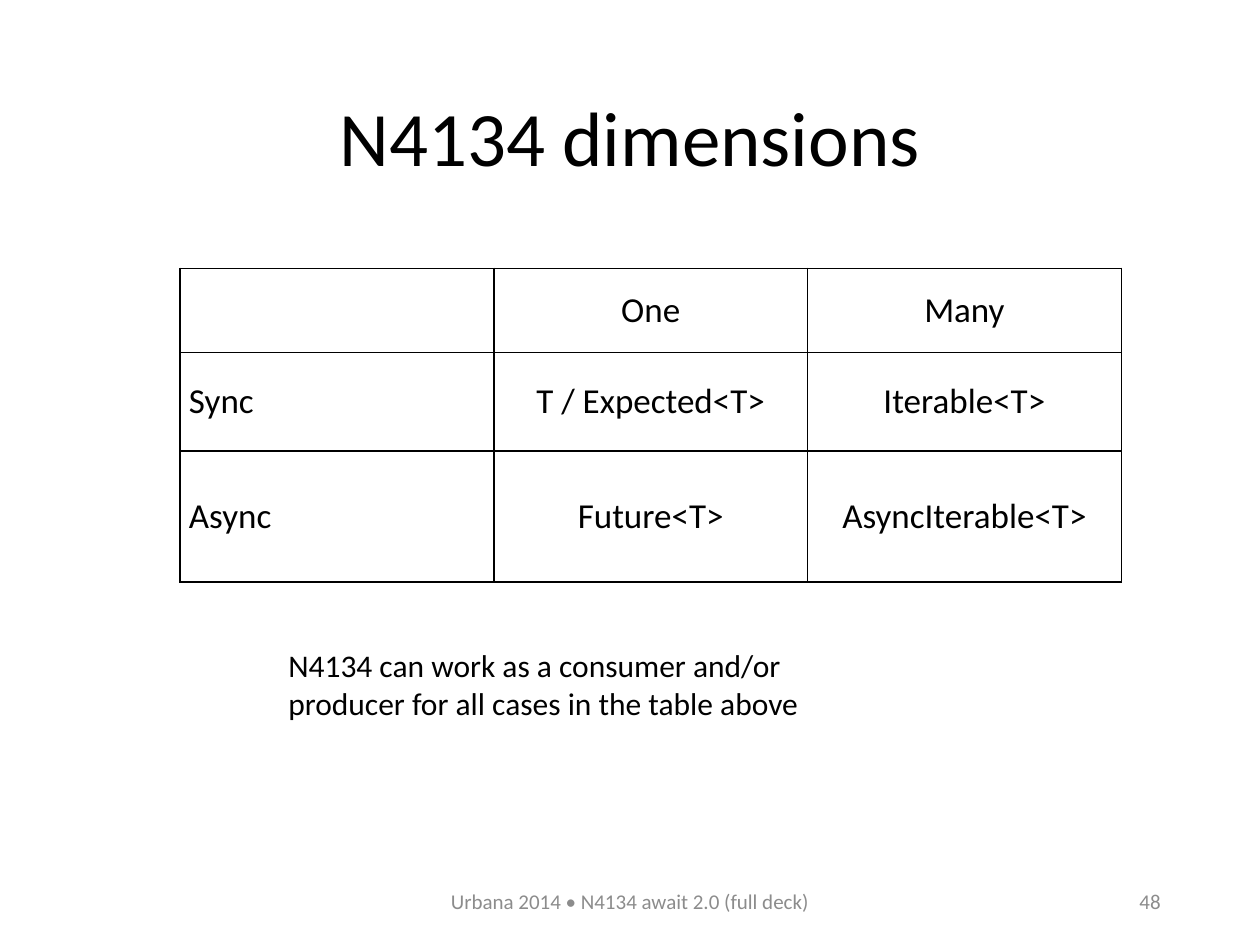
from lxml.etree import SubElement
from pptx import Presentation
from pptx.dml.color import RGBColor
from pptx.enum.text import MSO_ANCHOR as ANCHOR, PP_ALIGN as ALIGN
from pptx.oxml.ns import qn
from pptx.util import Inches, Pt

COLORS = {"text": "000000", "muted": "8C8C8C", "border": "000000"}
FONT = "Calibri"

ROWS = [
    ["", "One", "Many"],
    ["Sync", "T / Expected<T>", "Iterable<T>"],
    ["Async", "Future<T>", "AsyncIterable<T>"],
]
COL_WIDTH = 2.49
ROW_HEIGHTS = [0.67, 0.78, 1.04]


def write(p, text, size, color="text", **formats):
    """Put one formatted run in a paragraph."""
    for name, value in formats.items():
        setattr(p, name, value)
    r = p.add_run()
    r.text = text
    for name, value in {"name": FONT, "size": Pt(size)}.items():
        setattr(r.font, name, value)
    r.font.color.rgb = RGBColor.from_string(COLORS[color])


def add_text(s, box, text, size, color="text", anchor=ANCHOR.MIDDLE, **formats):
    tf = s.shapes.add_textbox(*map(Inches, box)).text_frame
    tf.word_wrap = True
    tf.vertical_anchor = anchor
    write(tf.paragraphs[0], text, size, color, **formats)


def add_borders(cell):
    """Draw a 1 pt line on all four sides of a cell."""
    props = cell._tc.get_or_add_tcPr()
    for index, side in enumerate(("lnL", "lnR", "lnT", "lnB")):
        line = SubElement(props, qn(f"a:{side}"), w=str(Pt(1)))
        fill = SubElement(line, qn("a:solidFill"))
        SubElement(fill, qn("a:srgbClr"), val=COLORS["border"])
        props.insert(index, line)  # borders come before the cell fill


def add_grid(s, left, top):
    n_rows, n_cols = len(ROWS), len(ROWS[0])
    size = (COL_WIDTH * n_cols, sum(ROW_HEIGHTS))
    table = s.shapes.add_table(
        n_rows, n_cols, *map(Inches, (left, top, *size))).table
    table.first_row = table.horz_banding = False
    for col in table.columns:
        col.width = Inches(COL_WIDTH)
    for row, height, texts in zip(table.rows, ROW_HEIGHTS, ROWS):
        row.height = Inches(height)
        for i, (cell, text) in enumerate(zip(row.cells, texts)):
            cell.fill.background()
            cell.vertical_anchor = ANCHOR.MIDDLE
            cell.margin_left = cell.margin_right = Inches(0.07)
            cell.margin_top = cell.margin_bottom = Inches(0.04)
            add_borders(cell)
            if text:
                write(cell.text_frame.paragraphs[0], text, 20,
                      alignment=ALIGN.CENTER if i else ALIGN.LEFT)


def main():
    prs = Presentation()
    prs.slide_width, prs.slide_height = Inches(10), Inches(7.5)
    s = prs.slides.add_slide(prs.slide_layouts[6])

    # Title
    add_text(s, (0.69, 0.4, 8.62, 1.45), "N4134 dimensions", 44,
             alignment=ALIGN.CENTER, line_spacing=0.9)

    # Footer and slide number
    add_text(s, (3.31, 6.95, 3.38, 0.4),
             "Urbana 2014 • N4134 await 2.0 (full deck)", 12, "muted",
             alignment=ALIGN.CENTER)
    add_text(s, (7.06, 6.95, 2.25, 0.4), "48", 12, "muted",
             alignment=ALIGN.RIGHT)

    # Table of dimensions and the remark below it
    add_grid(s, 1.43, 2.13)
    add_text(s, (2.19, 5.08, 4.49, 0.71),
             "N4134 can work as a consumer and/or producer "
             "for all cases in the table above", 18, anchor=ANCHOR.TOP)

    prs.save("out.pptx")


if __name__ == "__main__":
    main()
